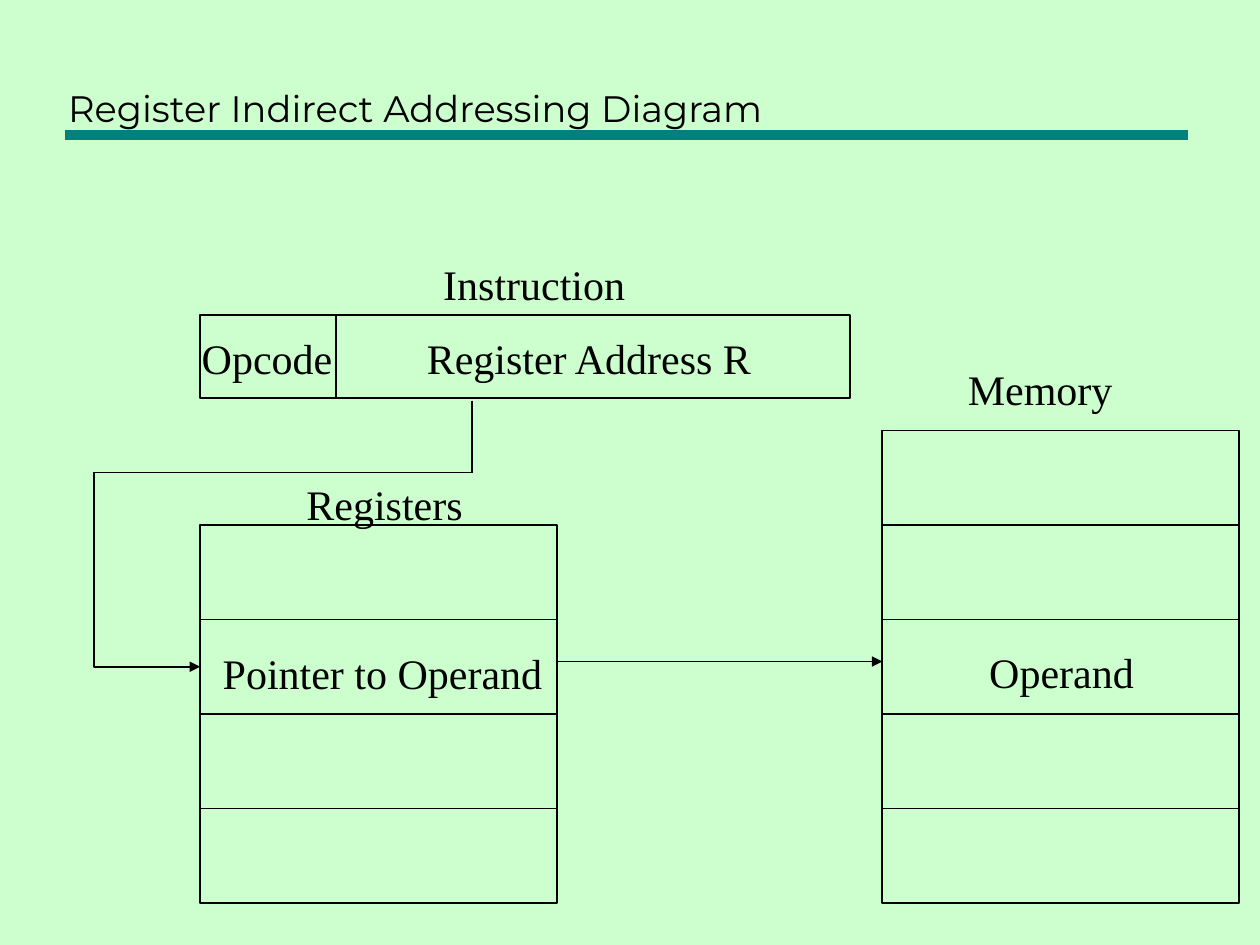
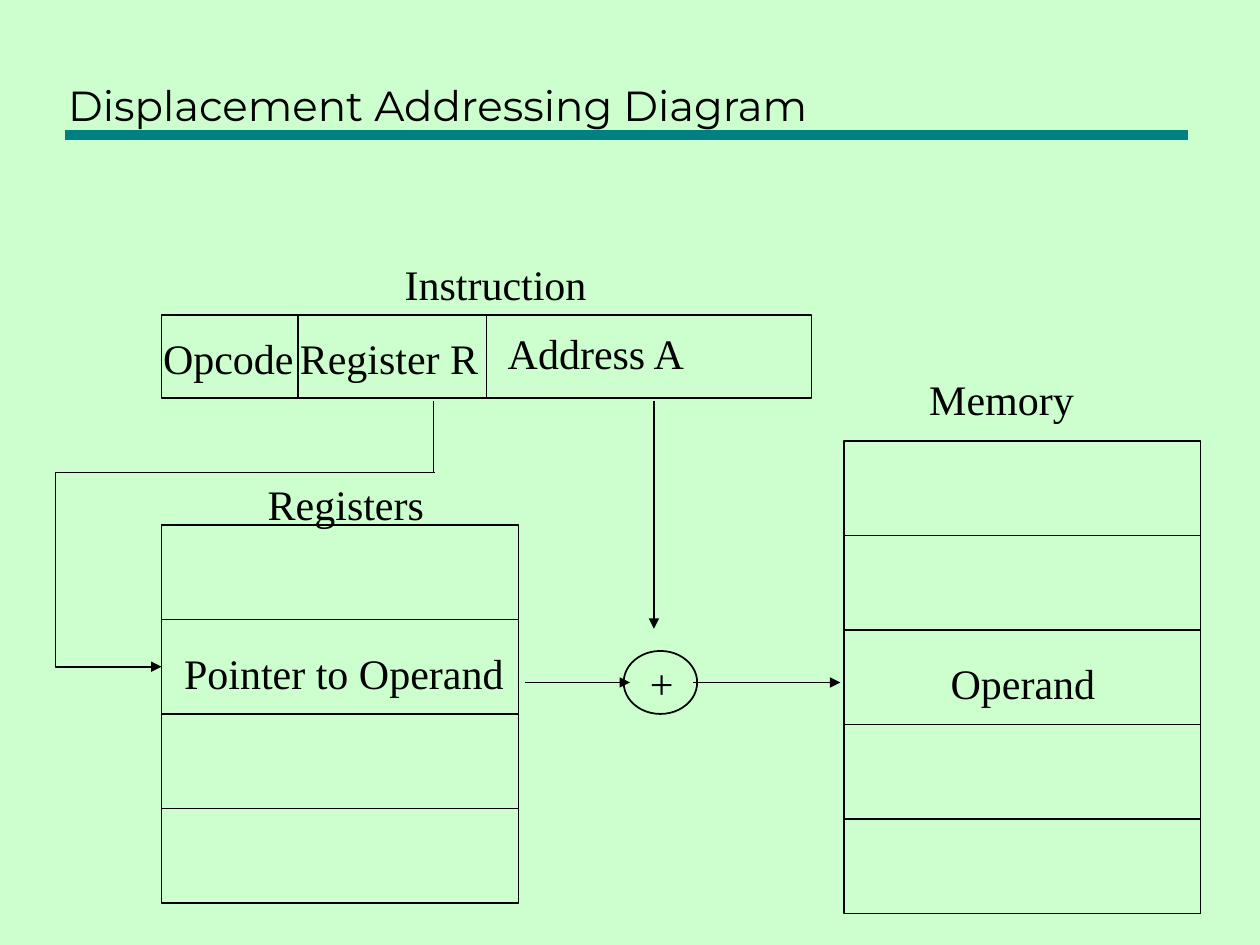
"""Build two slides that diagram register indirect and displacement addressing."""
from lxml import etree
from pptx import Presentation
from pptx.dml.color import RGBColor
from pptx.enum import shapes, text
from pptx.oxml.ns import qn
from pptx.util import Pt

COLORS = {"back": "CDFFCE", "band": "008080", "ink": "000000"}
FONTS = {"title": "Montserrat", "body": "Times New Roman"}
BODY_SIZE = 24
TITLE_BOX = (31.7, 12.2, 645.8, 78.5)
TITLE_MARGIN = 16.2
BAND = (36.9, 77.2, 679, 77.2)

CELL_W, CELL_H = 204, 54
INSTRUCTION_BOX = (0, 180, 371.5, 47.5)
REGISTERS = {"x": 0, "y": 300, "rows": 4}
MEMORY = {"x": 389.8, "rows": 5}
ROUTE = [(155.5, 229, 155.5, 269.5), (156, 270, -60.5, 270)]
ELBOW = [(-60.5, 270), (-60.5, 381), (0, 381)]

SHARED_LABELS = [
    ("Instruction", 131.8, 144, 120),
    ("Opcode", -6.2, 186.2, 91),
    ("Registers", 53.6, 270, 106),
    ("Pointer to Operand", 5.8, 366.2, 199),
]
MEMORY_LABELS = [("Memory", 41.8, -42, 99), ("Operand", 54, 120, 99)]

SLIDES = [
    {
        "title": "Register Indirect Addressing Diagram",
        "title_size": 21,
        "left": 114.4,
        "memory_top": 246,
        "dividers": [77.8],
        "labels": [("Register Address R", 122.4, 186.2, 203)],
        "adder": None,
        "arrows": [(203.8, 378, 389.8, 378, 0.75)],
    },
    {
        "title": "Displacement Addressing Diagram",
        "title_size": 24,
        "left": 92.3,
        "memory_top": 252,
        "dividers": [77.8, 185.7],
        "labels": [
            ("Register R", 71.9, 186.2, 118),
            ("Address A", 190.7, 183.6, 118),
            ("+", 272, 372, 29),
        ],
        "adder": (264.1, 372, 42, 36),
        "arrows": [
            (281.4, 229, 281.4, 359.3, 1),
            (303.7, 390, 387.9, 390, 0.75),
            (207.9, 390, 267.7, 390, 0.75),
        ],
    },
]


def color(name):
    return RGBColor.from_string(COLORS[name])


def apply(obj, values):
    for name, value in values.items():
        setattr(obj, name, value)


def write(tf, words, font, size):
    p = tf.paragraphs[0]
    p.alignment = text.PP_ALIGN.LEFT
    r = p.add_run()
    r.text = words
    apply(r.font, {"name": FONTS[font], "size": Pt(size)})
    r.font.color.rgb = color("ink")


def stroke(sp, ink="ink", width=1, arrow=False):
    sp.line.color.rgb = color(ink)
    sp.line.width = Pt(width)
    if arrow:
        ln = sp.element.spPr.find(qn("a:ln"))
        etree.SubElement(ln, qn("a:tailEnd"), type="triangle")


def outline(sp, arrow=False):
    sp.fill.background()
    sp.shadow.inherit = False
    stroke(sp, arrow=arrow)


def add_shape(s, kind, x, y, w, h):
    outline(s.shapes.add_shape(kind, Pt(x), Pt(y), Pt(w), Pt(h)))


def add_line(s, x1, y1, x2, y2, **style):
    sp = s.shapes.add_connector(
        shapes.MSO_CONNECTOR.STRAIGHT, Pt(x1), Pt(y1), Pt(x2), Pt(y2))
    stroke(sp, **style)
    etree.SubElement(sp.element.spPr, qn("a:effectLst"))
    return sp


def add_label(s, words, x, y, w):
    tf = s.shapes.add_textbox(Pt(x), Pt(y), Pt(w), Pt(36)).text_frame
    apply(tf, {"word_wrap": False,
               "auto_size": text.MSO_AUTO_SIZE.SHAPE_TO_FIT_TEXT})
    write(tf, words, "body", BODY_SIZE)


def add_cells(s, x, y, rows):
    for row in range(rows):
        add_shape(s, shapes.MSO_SHAPE.RECTANGLE,
                  x, y + row * CELL_H, CELL_W, CELL_H)


def add_elbow(s, left):
    points = [(Pt(left + x), Pt(y)) for x, y in ELBOW]
    builder = s.shapes.build_freeform(*points[0])
    builder.add_line_segments(points[1:], close=False)
    outline(builder.convert_to_shape(), arrow=True)


def add_title(s, words, size):
    sp = s.shapes.title
    apply(sp, dict(zip(("left", "top", "width", "height"), map(Pt, TITLE_BOX))))
    apply(sp.text_frame, {"vertical_anchor": text.MSO_ANCHOR.BOTTOM,
                          "auto_size": text.MSO_AUTO_SIZE.NONE,
                          "margin_bottom": Pt(TITLE_MARGIN),
                          "word_wrap": True})
    write(sp.text_frame, words, "title", size)
    band = add_line(s, *BAND, ink="band", width=6)
    sp.element.addprevious(band.element)


def add_diagram(s, item):
    left, top = item["left"], item["memory_top"]
    memory_x = left + MEMORY["x"]
    x, y, w, h = INSTRUCTION_BOX
    add_shape(s, shapes.MSO_SHAPE.RECTANGLE, left + x, y, w, h)
    for dx in item["dividers"]:
        add_line(s, left + dx, y + 0.7, left + dx, y + h)
    add_cells(s, memory_x, top, MEMORY["rows"])
    add_cells(s, left + REGISTERS["x"], REGISTERS["y"], REGISTERS["rows"])
    for x1, y1, x2, y2 in ROUTE:
        add_line(s, left + x1, y1, left + x2, y2)
    add_elbow(s, left)
    if item["adder"]:
        x, y, w, h = item["adder"]
        add_shape(s, shapes.MSO_SHAPE.OVAL, left + x, y, w, h)
    for words, x, y, w in SHARED_LABELS + item["labels"]:
        add_label(s, words, left + x, y, w)
    for words, x, y, w in MEMORY_LABELS:
        add_label(s, words, memory_x + x, top + y, w)
    for x1, y1, x2, y2, width in item["arrows"]:
        add_line(s, left + x1, y1, left + x2, y2, width=width, arrow=True)


def main():
    prs = Presentation()
    apply(prs, {"slide_width": Pt(720), "slide_height": Pt(540)})
    fill = prs.slide_master.background.fill
    fill.solid()
    fill.fore_color.rgb = color("back")
    for item in SLIDES:
        s = prs.slides.add_slide(prs.slide_layouts.get_by_name("Title Only"))
        add_title(s, item["title"], item["title_size"])
        add_diagram(s, item)
    prs.save("out.pptx")


if __name__ == "__main__":
    main()
